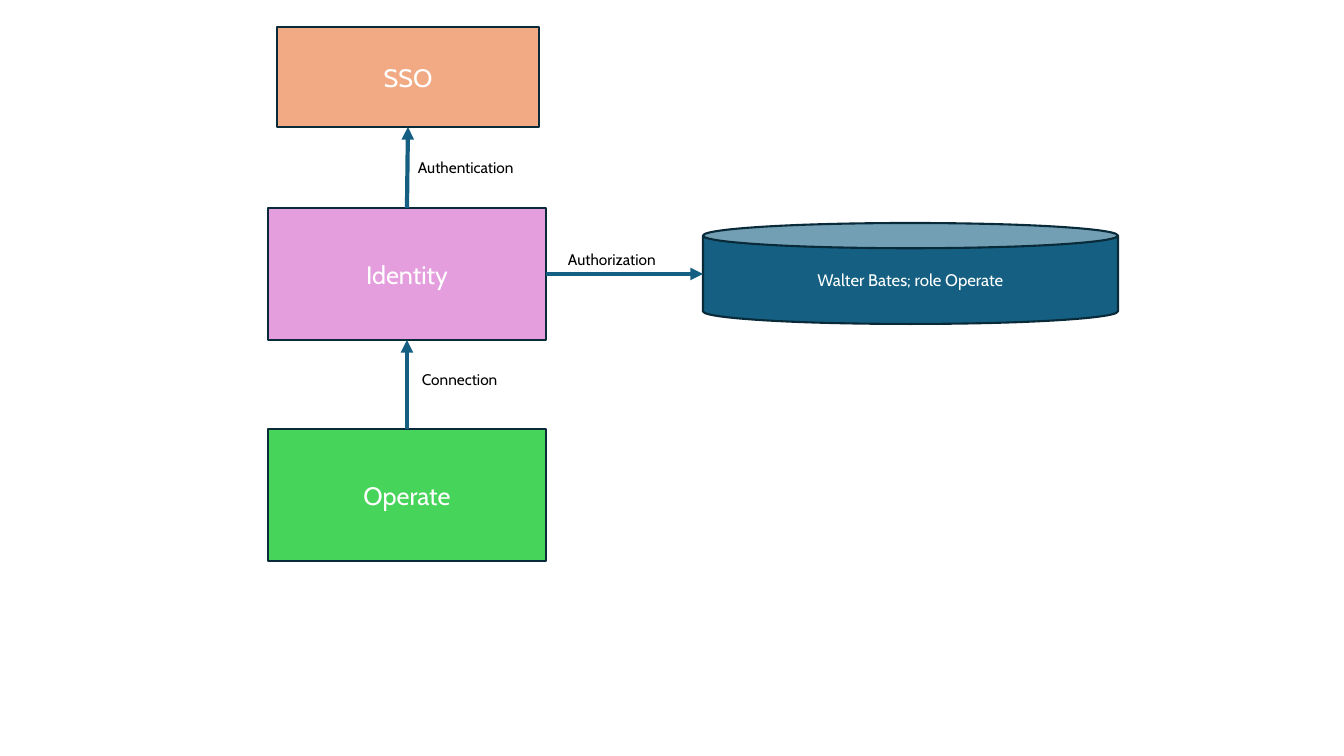
from lxml import etree
from pptx import Presentation
from pptx import util as u
from pptx.dml.color import RGBColor
from pptx.enum import shapes, text
from pptx.oxml.ns import qn

WHITE = RGBColor(0xFF, 0xFF, 0xFF)
BLACK = RGBColor(0x00, 0x00, 0x00)
NAVY = RGBColor(0x09, 0x2A, 0x39)
TEAL = RGBColor(0x15, 0x60, 0x82)
GREEN = RGBColor(0x47, 0xD4, 0x5A)
PINK = RGBColor(0xE5, 0x9E, 0xDD)
PEACH = RGBColor(0xF2, 0xAA, 0x84)

RECT = shapes.MSO_SHAPE.RECTANGLE
CAN = shapes.MSO_SHAPE.CAN


def px(*sizes):
    """Turn pixels (100.8 to the inch) into EMU."""
    return [u.Inches(size / 100.8) for size in sizes]


class Board:
    font = "Cabin"

    def __init__(self, slide):
        self.items = slide.shapes

    def add_words(self, frame, words, size, color):
        run = frame.paragraphs[0].add_run()
        run.text = words
        run.font.name = self.font
        run.font.size = u.Pt(size)
        run.font.color.rgb = color

    def node(self, kind, area, fill, words, size=18):
        shape = self.items.add_shape(kind, *px(*area))
        shape.shadow.inherit = False
        shape.fill.solid()
        shape.fill.fore_color.rgb = fill
        shape.line.color.rgb = NAVY
        shape.line.width = u.Pt(1.5)
        frame = shape.text_frame
        frame.word_wrap = True
        frame.vertical_anchor = text.MSO_ANCHOR.MIDDLE
        frame.paragraphs[0].alignment = text.PP_ALIGN.CENTER
        self.add_words(frame, words, size, WHITE)

    def arrow(self, *ends):
        link = self.items.add_connector(shapes.MSO_CONNECTOR.STRAIGHT, *px(*ends))
        link.line.color.rgb = TEAL
        link.line.width = u.Pt(3)
        props = link.element.spPr
        etree.SubElement(props.find(qn("a:ln")), qn("a:tailEnd"), type="triangle")
        etree.SubElement(props, qn("a:effectLst"))

    def label(self, left, top, width, words):
        frame = self.items.add_textbox(*px(left, top, width, 29)).text_frame
        frame.word_wrap = False
        frame.auto_size = text.MSO_AUTO_SIZE.SHAPE_TO_FIT_TEXT
        self.add_words(frame, words, 11, BLACK)


def main():
    deck = Presentation()
    deck.slide_width, deck.slide_height = px(1344, 756)
    board = Board(deck.slides.add_slide(deck.slide_layouts[6]))

    board.node(RECT, (268, 429, 278, 132), GREEN, "Operate")
    board.node(RECT, (268, 208, 278, 132), PINK, "Identity")
    board.node(RECT, (277, 27, 262, 100), PEACH, "SSO")
    board.node(CAN, (703, 223, 415, 101), TEAL, "Walter Bates; role Operate", 12)

    board.arrow(407, 429, 407, 340)
    board.arrow(407, 208, 408, 127)
    board.arrow(546, 274, 703, 274)

    board.label(408, 153, 120, "Authentication")
    board.label(558, 245, 111, "Authorization")
    board.label(412, 365, 100, "Connection")

    deck.save("out.pptx")


if __name__ == "__main__":
    main()
